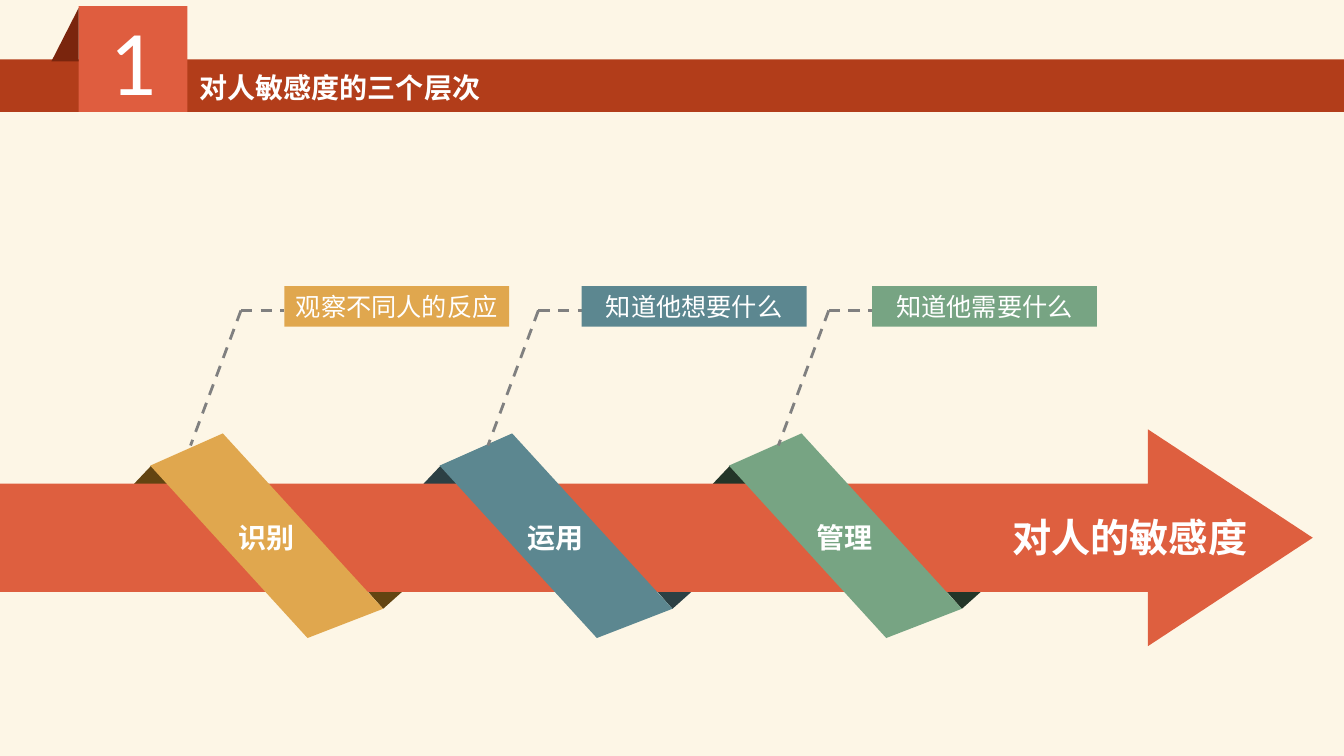
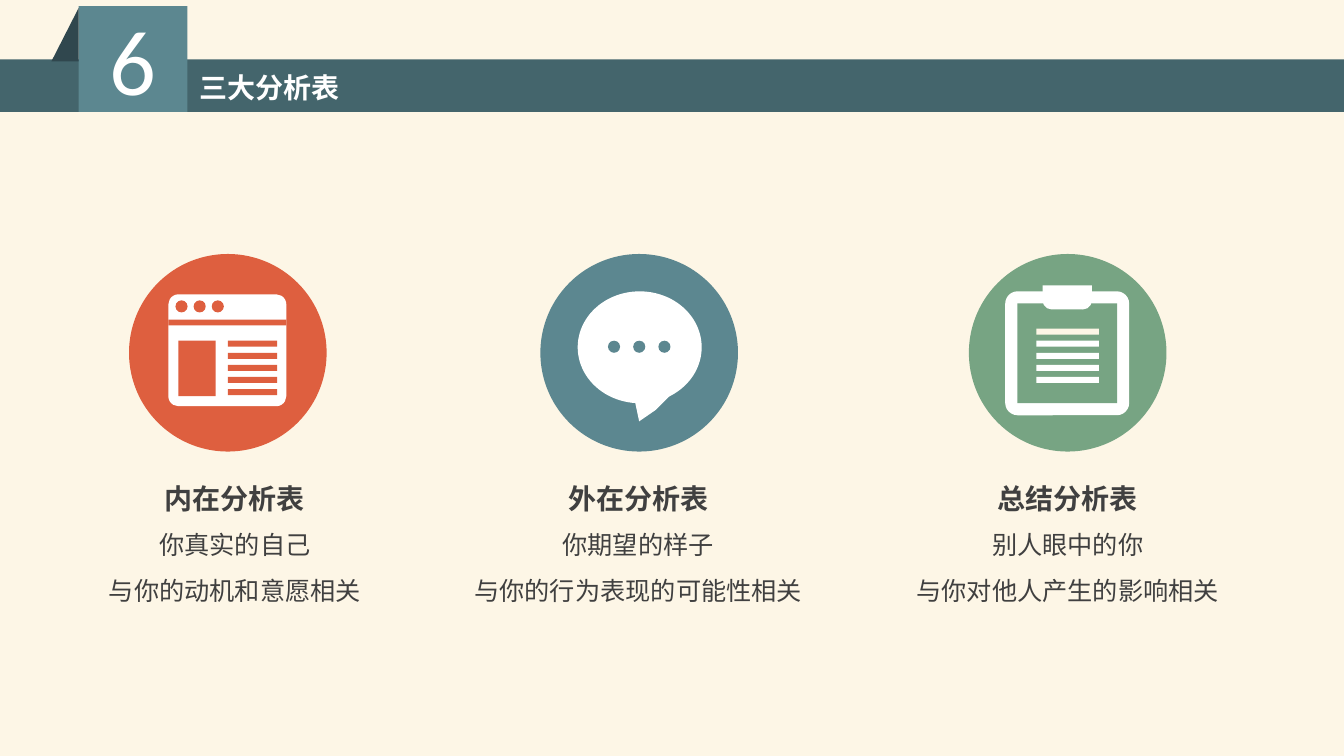
"""Build two slides on sensitivity to people: three levels and three tables."""
from dataclasses import dataclass

from lxml.etree import SubElement as Sub
from pptx import Presentation
from pptx.dml.color import RGBColor as Rgb
from pptx.enum.dml import MSO_LINE_DASH_STYLE as Dash
from pptx.enum.shapes import MSO_CONNECTOR as Link, MSO_SHAPE as Kind
from pptx.enum.text import MSO_ANCHOR as Anchor, MSO_AUTO_SIZE as Auto, PP_ALIGN as Align
from pptx.oxml.ns import qn
from pptx.util import Inches, Pt


@dataclass(frozen=True)
class Theme:
    cream: str = "FDF6E6"
    white: str = "FFFFFF"
    ink: str = "404040"
    gray: str = "808080"
    red: str = "DE5F3F"
    gold: str = "E0A74E"
    blue: str = "5C8790"
    green: str = "77A483"
    font: str = "Noto Sans CJK SC"
    latin: str = "Calibri"
    digit: int = 66
    large: int = 28
    head: int = 20
    body: int = 18


T = Theme()
RED_HEAD = ("B23D1A", "DF5D3F", "7A250D")
BLUE_HEAD = ("44656C", T.blue, "30474E")
STEP = 2.87
LEVELS = [
    ("识别", "观察不同人的反应", T.gold, "634411", 2.39),
    ("运用", "知道他想要什么", T.blue, "2C4044", 5.34),
    ("管理", "知道他需要什么", T.green, "233528", 8.22),
]


def paint(shape, color):
    shape.fill.solid()
    shape.fill.fore_color.rgb = Rgb.from_string(color)
    shape.line.fill.background()
    shape.shadow.inherit = False
    return shape


def block(slide, box, color, kind=Kind.RECTANGLE, *ratios):
    shape = slide.shapes.add_shape(kind, *map(Inches, box))
    for i, ratio in enumerate(ratios):
        shape.adjustments[i] = ratio
    return paint(shape, color)


def poly(slide, points, color, shift=0):
    spots = [(Inches(x + shift), Inches(y)) for x, y in points]
    pen = slide.shapes.build_freeform(*spots[0])
    pen.add_line_segments(spots[1:], close=True)
    return paint(pen.convert_to_shape(), color)


def style(para, size, color=T.white, bold=False, align=Align.CENTER, face=T.font):
    para.alignment = align
    font = para.font
    font.size, font.bold, font.name = Pt(size), bold, face
    font.color.rgb = Rgb.from_string(color)
    Sub(para._p.pPr.find(qn("a:defRPr")), qn("a:ea"), typeface=face)


def write(shape, text, size, **look):
    frame = shape.text_frame
    frame.auto_size, frame.word_wrap = Auto.NONE, True
    frame.vertical_anchor = Anchor.MIDDLE
    frame.margin_left = frame.margin_right = 0
    frame.margin_top = frame.margin_bottom = 0
    frame.text = text
    for para in frame.paragraphs:
        style(para, size, **look)


def label(slide, box, text, size, **look):
    shape = slide.shapes.add_textbox(*map(Inches, box))
    write(shape, text, size, **look)
    return shape


def dash(slide, start, end):
    line = slide.shapes.add_connector(Link.STRAIGHT, *map(Inches, start + end))
    line.line.color.rgb = Rgb.from_string(T.gray)
    line.line.width = Pt(2)
    line.line.dash_style = Dash.DASH
    Sub(line._element.spPr, qn("a:effectLst"))


def header(deck, digit, text, colors):
    band, tile, fold = colors
    slide = deck.slides.add_slide(deck.slide_layouts[5])
    block(slide, (0, 0.59, 13.33, 0.52), band)
    block(slide, (0.78, 0.06, 1.08, 1.05), tile)
    poly(slide, [(0.78, 0.08), (0.78, 0.61), (0.51, 0.61)], fold)
    label(slide, (0.78, 0, 1.08, 1.17), digit, T.digit, face=T.latin)
    title = slide.shapes.title
    title.left, title.top, title.width, title.height = map(Inches, (1.98, 0.65, 8, 0.44))
    write(title, text, T.head, bold=True, align=Align.LEFT)
    title.element.getparent().append(title.element)
    return slide


def folds(slide, color, shift):
    poly(slide, [(1.33, 4.8), (1.5, 4.62), (1.67, 4.8)], color, shift)
    poly(slide, [(3.65, 5.87), (3.99, 5.87), (3.8, 6.04)], color, shift)


def ribbon(slide, name, color, shift):
    poly(slide, [(3.05, 6.33), (1.49, 4.62), (2.21, 4.3), (3.8, 6.04)], color, shift)
    label(slide, (2.14 + shift, 5.11, 1, 0.44), name, T.head, bold=True)


def callout(slide, text, color, x):
    dash(slide, (x, 3.08), (x - 0.5, 4.42))
    dash(slide, (x, 3.08), (x + 0.43, 3.08))
    write(block(slide, (x + 0.43, 2.84, 2.23, 0.4), color), text, T.body)


def levels(deck):
    slide = header(deck, "1", "对人敏感度的三个层次", RED_HEAD)
    for i, level in enumerate(LEVELS):
        folds(slide, level[3], i * STEP)
    block(slide, (0, 4.26, 13.02, 2.15), T.red, Kind.RIGHT_ARROW, 0.5, 0.76)
    for i, (name, text, color, _, x) in enumerate(LEVELS):
        ribbon(slide, name, color, i * STEP)
        callout(slide, text, color, x)
    label(slide, (10.04, 5.04, 2.5, 0.57), "对人的敏感度", T.large, bold=True, align=Align.LEFT)


def dots(slide, x, y, gap, color):
    for i in range(3):
        block(slide, (x + i * gap, y, 0.12, 0.12), color, Kind.OVAL)


def rows(slide, x, y, width, colors):
    for i, color in enumerate(colors):
        block(slide, (x, y + i * 0.12, width, 0.06), color)


def browser(slide, mid, color):
    block(slide, (mid - 0.59, 2.92, 1.17, 1.11), T.white, Kind.ROUNDED_RECTANGLE, 0.09)
    block(slide, (mid - 0.59, 3.17, 1.17, 0.06), color)
    dots(slide, mid - 0.52, 2.98, 0.18, color)
    block(slide, (mid - 0.49, 3.38, 0.37, 0.55), color)
    rows(slide, mid, 3.38, 0.49, [color] * 5)


def bubble(slide, mid, color):
    block(slide, (mid - 0.61, 2.89, 1.23, 1.11), T.white, Kind.OVAL)
    tail = [(-0.06, 3.9), (0, 4.18), (0.16, 4.07), (0.3, 3.93), (0.26, 3.8)]
    poly(slide, tail, T.white, mid)
    dots(slide, mid - 0.31, 3.38, 0.25, color)


def clipboard(slide, mid, color):
    block(slide, (mid - 0.62, 2.89, 1.23, 1.23), T.white, Kind.ROUNDED_RECTANGLE, 0.1)
    block(slide, (mid - 0.5, 3.01, 0.99, 0.99), color)
    clip = block(slide, (mid - 0.25, 2.83, 0.49, 0.24), T.white,
                 Kind.ROUND_2_SAME_RECTANGLE, 0.38, 0)
    clip.rotation = 180
    rows(slide, mid - 0.31, 3.26, 0.62, [T.cream] + [T.white] * 4)


def caption(slide, mid, lines):
    shape = label(slide, (mid - 1.9, 4.6, 3.8, 1.41), "\n".join(lines), T.body, color=T.ink)
    paras = shape.text_frame.paragraphs
    for para in paras:
        para.line_spacing = 1.5
    paras[0].font.size, paras[0].font.bold = Pt(T.head), True


def tables(deck):
    slide = header(deck, "6", "三大分析表", BLUE_HEAD)
    cards = [
        (browser, 2.26, 2.33, T.red, ("内在分析表", "你真实的自己", "与你的动机和意愿相关")),
        (bubble, 6.34, 6.33, T.blue, ("外在分析表", "你期望的样子", "与你的行为表现的可能性相关")),
        (clipboard, 10.59, 10.59, T.green, ("总结分析表", "别人眼中的你", "与你对他人产生的影响相关")),
    ]
    for icon, mid, center, color, lines in cards:
        block(slide, (mid - 0.98, 2.52, 1.96, 1.96), color, Kind.OVAL)
        icon(slide, mid, color)
        caption(slide, center, lines)


def main():
    deck = Presentation()
    deck.slide_width, deck.slide_height = Inches(13.33), Inches(7.5)
    back = deck.slide_master.background.fill
    back.solid()
    back.fore_color.rgb = Rgb.from_string(T.cream)
    levels(deck)
    tables(deck)
    deck.save("out.pptx")


if __name__ == "__main__":
    main()
